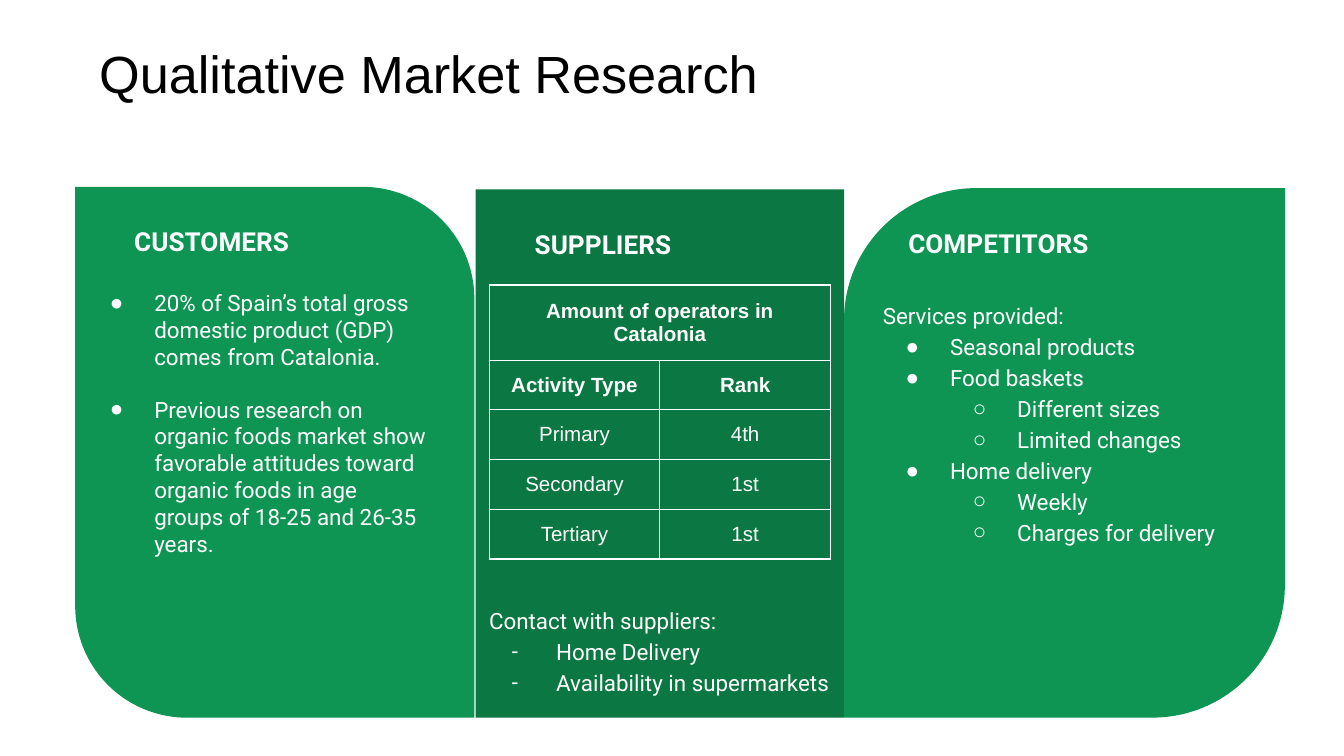
from lxml import etree
from pptx import Presentation
from pptx.dml.color import RGBColor
from pptx.enum.shapes import MSO_SHAPE
from pptx.enum.text import MSO_ANCHOR, PP_ALIGN
from pptx.oxml.ns import qn
from pptx.util import Inches, Pt

PANEL = MSO_SHAPE.ROUND_2_DIAG_RECTANGLE
LEFT, CENTER = PP_ALIGN.LEFT, PP_ALIGN.CENTER
MIDDLE = MSO_ANCHOR.MIDDLE
BLACK = RGBColor(0x00, 0x00, 0x00)
WHITE = RGBColor(0xFF, 0xFF, 0xFF)
GREEN = RGBColor(0x0E, 0x94, 0x53)
DARK_GREEN = RGBColor(0x0B, 0x77, 0x43)
INDENTS = {"●": 0.5, "-": 0.5, "○": 1.0}
BULLET_FONTS = {"●": "Arial", "-": "Roboto", "○": "Arial"}


def write_text(frame, lines, size=12, font="Roboto", color=WHITE, bold=False,
               align=LEFT, spacing=None, gap=0):
    """Fill a text frame; a line that starts with a bullet mark becomes a list item."""
    frame.word_wrap = True
    for index, line in enumerate(lines):
        paragraph = frame.paragraphs[0] if index == 0 else frame.add_paragraph()
        paragraph.alignment = align
        paragraph.line_spacing = spacing
        if index > 0:
            paragraph.space_before = Pt(gap)
        mark, _, rest = line.partition(" ")
        if mark in INDENTS:
            line = rest
            paragraph.level = 1 if mark == "○" else 0
            properties = paragraph._p.get_or_add_pPr()
            properties.set("marL", str(Inches(INDENTS[mark])))
            properties.set("indent", str(Inches(-0.33)))
            bullet_color = etree.SubElement(properties, qn("a:buClr"))
            etree.SubElement(bullet_color, qn("a:srgbClr"), val=str(color))
            etree.SubElement(properties, qn("a:buFont"), typeface=BULLET_FONTS[mark])
            etree.SubElement(properties, qn("a:buChar"), char=mark)
        run = paragraph.add_run()
        run.text = line
        run.font.size = Pt(size)
        run.font.name = font
        run.font.bold = bold
        run.font.color.rgb = color


# Widescreen slide, 16 to 9
presentation = Presentation()
presentation.slide_width = Inches(10)
presentation.slide_height = Inches(10) * 9 // 16
slide = presentation.slides.add_slide(presentation.slide_layouts[6])

# Panels: position, corner rounding, colour
panels = [
    ((3.54, 1.41, 2.74, 3.93), (0, 0), DARK_GREEN),
    ((0.56, 1.39, 2.97, 3.95), (0, 0.28), GREEN),
    ((6.28, 1.40, 3.28, 3.94), (0.3, 0), GREEN),
]
for box, corners, color in panels:
    shape = slide.shapes.add_shape(PANEL, *map(Inches, box))
    shape.shadow.inherit = False
    shape.adjustments[0], shape.adjustments[1] = corners
    shape.fill.solid()
    shape.fill.fore_color.rgb = color
    shape.line.fill.background()

# Title, headings and lists: position, lines, format
heading = {"size": 14, "bold": True}
texts = [
    ((0.64, 0.21, 6.57, 0.94), ["Qualitative Market Research"],
     {"size": 28, "font": "Arial", "color": BLACK}),
    ((0.9, 1.58, 2.22, 0.46), ["CUSTOMERS"], heading),
    ((3.88, 1.6, 2.05, 0.37), ["SUPPLIERS"], heading),
    ((6.66, 1.59, 2.64, 0.37), ["COMPETITORS"], heading),
    ((0.55, 2.05, 2.74, 2.61), [
        "● 20% of Spain’s total gross domestic product (GDP) comes from Catalonia.",
        "● Previous research on organic foods market show favorable attitudes "
        "toward organic foods in age groups of 18-25 and 26-35 years.",
    ], {"gap": 14}),
    ((3.54, 4.39, 2.88, 0.78), [
        "Contact with suppliers:",
        "- Home Delivery",
        "- Availability in supermarkets",
    ], {"spacing": 1.15}),
    ((6.47, 2.12, 2.98, 2.52), [
        "Services provided:",
        "● Seasonal products",
        "● Food baskets",
        "○ Different sizes",
        "○ Limited changes",
        "● Home delivery",
        "○ Weekly",
        "○ Charges for delivery",
    ], {"spacing": 1.15}),
]
for box, lines, text_format in texts:
    frame = slide.shapes.add_textbox(*map(Inches, box)).text_frame
    frame.margin_left = frame.margin_right = Inches(0.1)
    frame.margin_top = frame.margin_bottom = Inches(0.1)
    write_text(frame, lines, **text_format)

# Table of operators, with the first row merged
rows = [
    ("Amount of operators in Catalonia", ""),
    ("Activity Type", "Rank"),
    ("Primary", "4th"),
    ("Secondary", "1st"),
    ("Tertiary", "1st"),
]
table = slide.shapes.add_table(len(rows), 2, Inches(3.64), Inches(2.12),
                               Inches(2.54), Inches(2.04)).table
table.first_row = table.horz_banding = False
for column in table.columns:
    column.width = Inches(1.27)
for row_index, values in enumerate(rows):
    table.rows[row_index].height = Inches(0.56 if row_index == 0 else 0.37)
    for column_index, value in enumerate(values):
        cell = table.cell(row_index, column_index)
        if value:
            write_text(cell.text_frame, [value], size=11, font="Arial",
                       bold=row_index < 2, align=CENTER)
        cell.vertical_anchor = MIDDLE
        cell.margin_left = cell.margin_right = Inches(0.1)
        cell.margin_top = cell.margin_bottom = Inches(0.09)
        properties = cell._tc.get_or_add_tcPr()
        for side in ("a:lnL", "a:lnR", "a:lnT", "a:lnB"):
            border = etree.SubElement(properties, qn(side), w=str(Pt(0.75)))
            fill = etree.SubElement(border, qn("a:solidFill"))
            etree.SubElement(fill, qn("a:srgbClr"), val=str(WHITE))
        cell.fill.background()
table.cell(0, 0).merge(table.cell(0, 1))

presentation.save("out.pptx")
